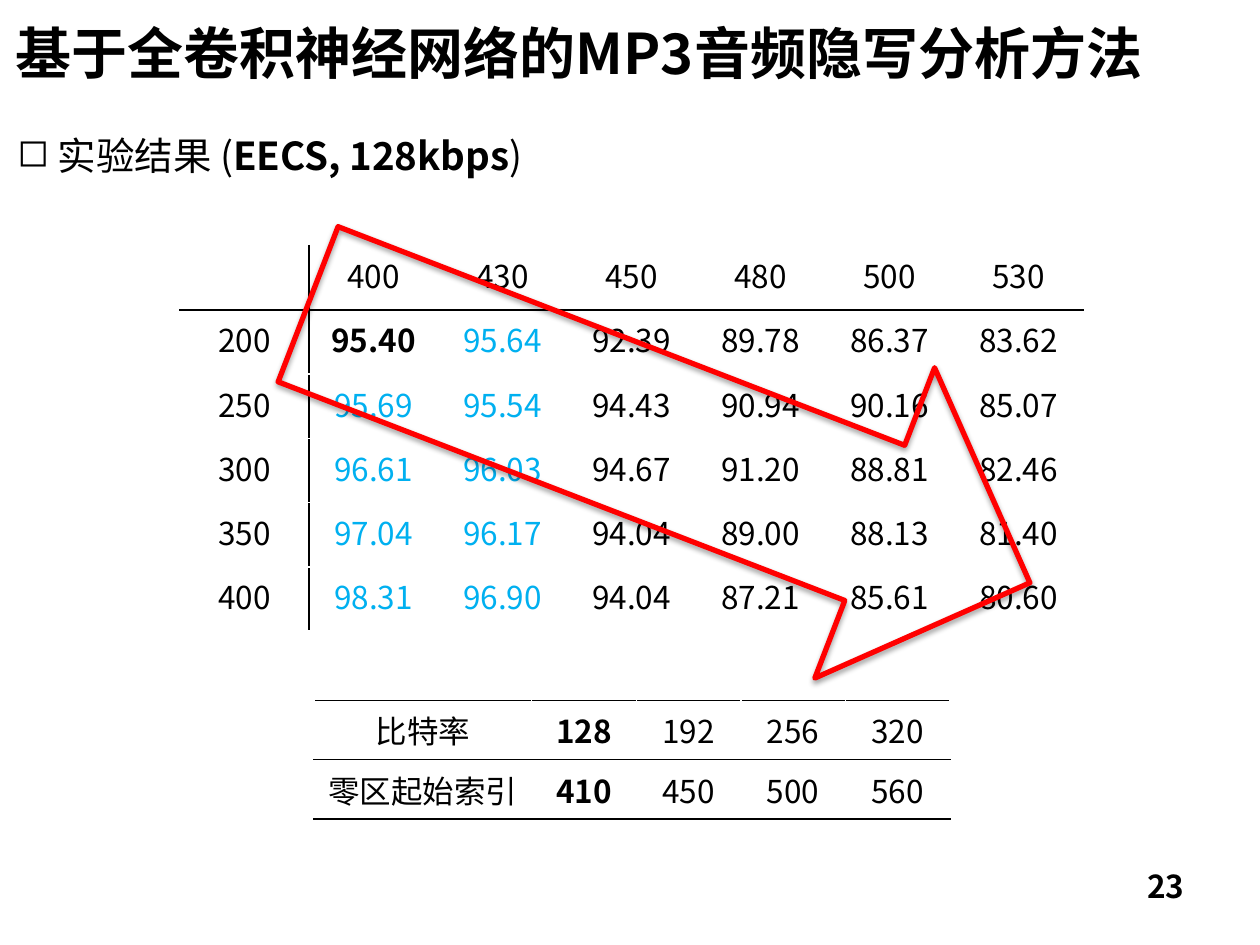
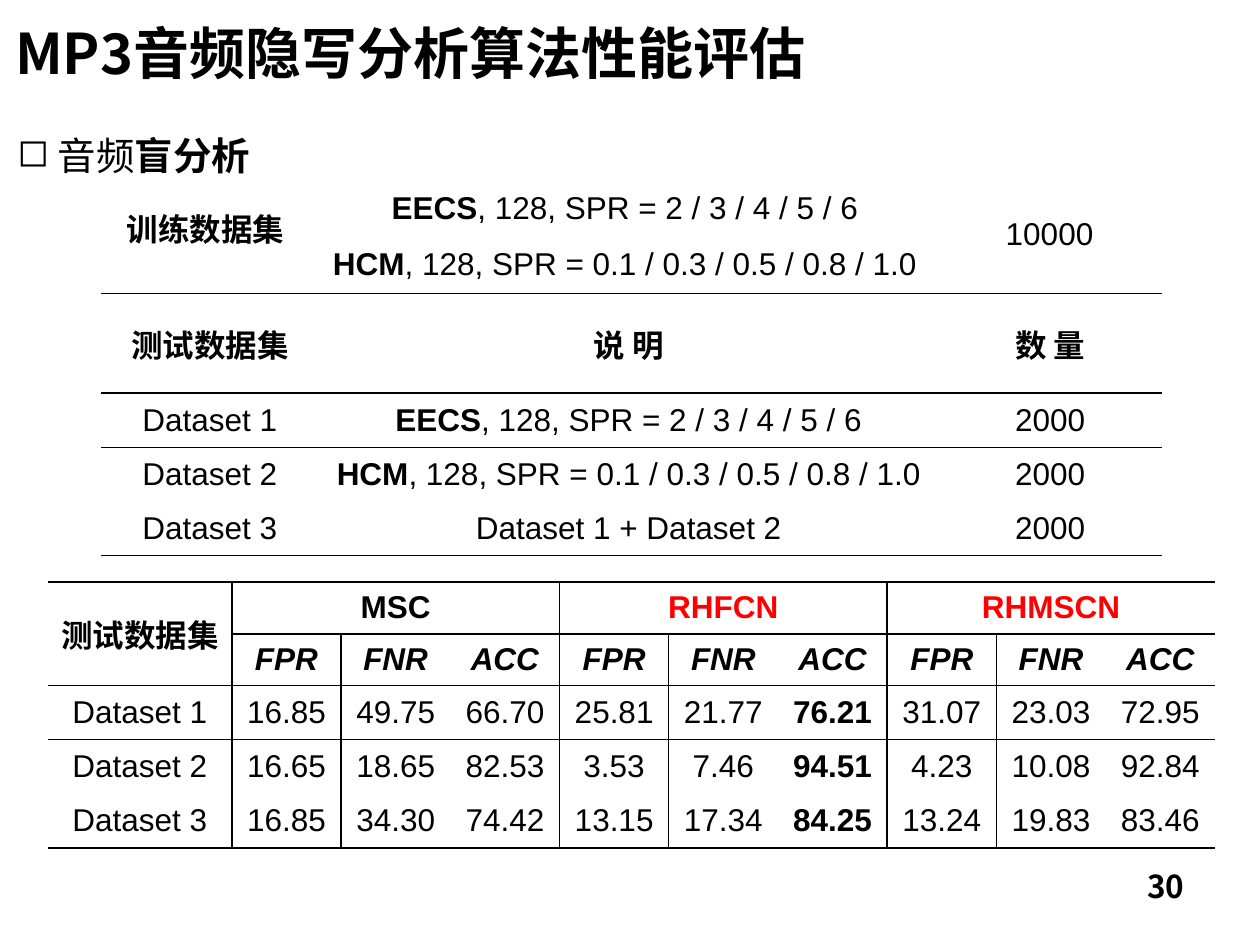
from pptx import Presentation
from pptx.dml.color import RGBColor
from pptx.enum.shapes import MSO_SHAPE
from pptx.enum.text import MSO_ANCHOR as ANCHOR, MSO_AUTO_SIZE as AUTO, PP_ALIGN as ALIGN
from pptx.oxml import parse_xml
from pptx.oxml.ns import nsdecls, qn
from pptx.util import Inches, Pt
from lxml.etree import SubElement

CJK, LATIN = "Noto Sans CJK SC", "Arial"
BLACK, WHITE, RED, BLUE = "000000", "FFFFFF", "FF0000", "00B0F0"
NO_GRID_STYLE = "{2D5ABB26-0587-4C30-8999-92F81FD0307C}"
SIDES = "LRTB"
rgb = RGBColor.from_string


def write(paragraph, runs, size=18, font=CJK, color=BLACK, bold=False, italic=False):
    for text, strong in runs:
        run = paragraph.add_run()
        run.text = text
        run.font.size = Pt(size)
        run.font.name = font
        run.font.bold = bold or strong
        run.font.italic = italic
        run.font.color.rgb = rgb(color)
        SubElement(run.font._element, qn("a:ea")).set("typeface", CJK)


def draw_table(slide, left, top, widths, heights, content, look, black_sides, other=None, anchor=ANCHOR.MIDDLE):
    table = slide.shapes.add_table(
        len(heights), len(widths), Inches(left), Inches(top),
        Inches(sum(widths)), Inches(sum(heights))).table
    table.first_row = table.horz_banding = False
    table._tbl.tblPr.find(qn("a:tableStyleId")).text = NO_GRID_STYLE
    for column, width in zip(table.columns, widths):
        column.width = Inches(width)
    for row, height in zip(table.rows, heights):
        row.height = Inches(height)
    for r, line in enumerate(content):
        for c, value in enumerate(line):
            cell = table.cell(r, c)
            cell.vertical_anchor = anchor
            paragraph = cell.text_frame.paragraphs[0]
            paragraph.alignment = ALIGN.CENTER
            if value:
                runs = [(value, False)] if isinstance(value, str) else value
                write(paragraph, runs, **look(r, c))
            for side in SIDES:
                color = BLACK if side in black_sides(r, c) else other
                if color:
                    cell._tc.get_or_add_tcPr().append(parse_xml(
                        f'<a:ln{side} {nsdecls("a")} w="12700"><a:solidFill>'
                        f'<a:srgbClr val="{color}"/></a:solidFill></a:ln{side}>'))
            cell.fill.background()
    return table


prs = Presentation()
prs.slide_width, prs.slide_height = Inches(10), Inches(7.5)

pages = [
    ("基于全卷积神经网络的MP3音频隐写分析方法", "23",
     [(" 实验结果 (", False), ("EECS, 128kbps", True), (")", False)]),
    ("MP3音频隐写分析算法性能评估", "30",
     [(" 音频", False), ("盲分析", True)]),
]
slides = []
for heading, number, topic in pages:
    slide = prs.slides.add_slide(prs.slide_layouts[5])
    slides.append(slide)
    title = slide.shapes.title
    title.left, title.top, title.width, title.height = map(Inches, (0.02, 0, 9.98, 0.82))
    title.text_frame.auto_size = AUTO.NONE
    title.text_frame.vertical_anchor = ANCHOR.MIDDLE
    title.text_frame.paragraphs[0].alignment = ALIGN.LEFT
    write(title.text_frame.paragraphs[0], [(heading, True)], size=32)

    page_number = slide.shapes.add_textbox(*map(Inches, (7.17, 6.83, 2.33, 0.52)))
    page_number.text_frame.word_wrap = True
    page_number.text_frame.paragraphs[0].alignment = ALIGN.RIGHT
    write(page_number.text_frame.paragraphs[0], [(number, True)])

    subject = slide.shapes.add_textbox(*map(Inches, (0.04, 1, 9, 0.47)))
    subject.text_frame.word_wrap = True
    bullet_line = subject.text_frame.paragraphs[0]
    properties = bullet_line._p.get_or_add_pPr()
    properties.set("marL", str(Inches(0.19)))
    properties.set("indent", str(Inches(-0.19)))
    SubElement(properties, qn("a:buChar")).set("char", "◻")
    write(bullet_line, topic, size=22)

results, blind = slides

accuracy = [
    ["", "400", "430", "450", "480", "500", "530"],
    ["200", "95.40", "95.64", "92.39", "89.78", "86.37", "83.62"],
    ["250", "95.69", "95.54", "94.43", "90.94", "90.16", "85.07"],
    ["300", "96.61", "96.03", "94.67", "91.20", "88.81", "82.46"],
    ["350", "97.04", "96.17", "94.04", "89.00", "88.13", "81.40"],
    ["400", "98.31", "96.90", "94.04", "87.21", "85.61", "80.60"],
]
draw_table(
    results, 1.43, 1.95, [1.024] * 7, [0.51] * 6, accuracy,
    lambda r, c: dict(bold=(r, c) == (1, 1),
                      color=BLUE if r and c in (1, 2) and (r, c) != (1, 1) else BLACK),
    lambda r, c: "R" * (c == 0) + "L" * (c == 1) + "B" * (r == 0) + "T" * (r == 1),
    WHITE, ANCHOR.TOP)

trend = results.shapes.add_shape(MSO_SHAPE.RIGHT_ARROW, *map(Inches, (2.13, 2.28, 6.14, 2.64)))
trend.left, trend.top = Inches(2.24), Inches(2.2)
trend.rotation = 21.1
trend.fill.background()
trend.line.color.rgb = rgb(RED)
trend.line.width = Pt(3)
trend.shadow.inherit = False
trend._element.spPr.find(qn("a:effectLst")).append(parse_xml(
    f'<a:outerShdw {nsdecls("a")} blurRad="{Pt(3.1)}" dist="{Pt(1.6)}" dir="5400000" rotWithShape="0">'
    f'<a:srgbClr val="{BLACK}"><a:alpha val="38000"/></a:srgbClr></a:outerShdw>'))

zero_region = [
    ["比特率", "128", "192", "256", "320"],
    ["零区起始索引", "410", "450", "500", "560"],
]
draw_table(
    results, 2.49, 5.56, [1.73] + [0.83] * 4, [0.47] * 2, zero_region,
    lambda r, c: dict(bold=c == 1), lambda r, c: "TB", WHITE)

eecs = [("EECS", True), (", 128, SPR = 2 / 3 / 4 / 5 / 6", False)]
hcm = [("HCM", True), (", 128, SPR = 0.1 / 0.3 / 0.5 / 0.8 / 1.0", False)]

training = [
    (0.91, 1.56, 1.5, 0.43, ALIGN.LEFT, 1.2, CJK, [[("训练数据集", True)]]),
    (2.48, 1.29, 4.96, 1.46, ALIGN.CENTER, 1.5, LATIN, [eecs, hcm]),
    (7.68, 1.5, 1.3, 0.56, ALIGN.CENTER, 1.5, LATIN, [[("10000", False)]]),
]
for left, top, width, height, align, spacing, font, lines in training:
    frame = blind.shapes.add_textbox(*map(Inches, (left, top, width, height))).text_frame
    frame.word_wrap = True
    for index, runs in enumerate(lines):
        paragraph = frame.add_paragraph() if index else frame.paragraphs[0]
        paragraph.alignment = align
        paragraph.line_spacing = spacing
        write(paragraph, runs, font=font)

test_sets = [
    ["测试数据集", "说 明", "数 量"],
    ["Dataset 1", eecs, "2000"],
    ["Dataset 2", hcm, "2000"],
    ["Dataset 3", "Dataset 1 + Dataset 2", "2000"],
]
draw_table(
    blind, 0.8, 2.33, [1.73, 4.92, 1.77], [0.79] + [0.43] * 3, test_sets,
    lambda r, c: dict(font=LATIN, bold=r == 0),
    lambda r, c: "T" * (r < 2) + "B" * (r in (0, 3)))

scores = [
    ["测试数据集", "MSC", "", "", "RHFCN", "", "", "RHMSCN", "", ""],
    [""] + ["FPR", "FNR", "ACC"] * 3,
    ["Dataset 1", "16.85", "49.75", "66.70", "25.81", "21.77", "76.21", "31.07", "23.03", "72.95"],
    ["Dataset 2", "16.65", "18.65", "82.53", "3.53", "7.46", "94.51", "4.23", "10.08", "92.84"],
    ["Dataset 3", "16.85", "34.30", "74.42", "13.15", "17.34", "84.25", "13.24", "19.83", "83.46"],
]
comparison = draw_table(
    blind, 0.38, 4.62, [1.46] + [0.867] * 9, [0.41] * 2 + [0.43] * 3, scores,
    lambda r, c: dict(font=LATIN, bold=r < 2 or c == 6, italic=r == 1,
                      color=RED if r == 0 and c > 3 else BLACK),
    lambda r, c: ("T" * (r < 3 and (r, c) != (1, 0)) + "B" * (r in (0, 1, 4)) + "L" * (c % 3 == 1)
                  + "R" * (c in (0, 3, 6) or (r, c) in ((0, 1), (0, 4)))))
comparison.cell(0, 0).merge(comparison.cell(1, 0))
for first in (1, 4, 7):
    comparison.cell(0, first).merge(comparison.cell(0, first + 2))

prs.save("out.pptx")
